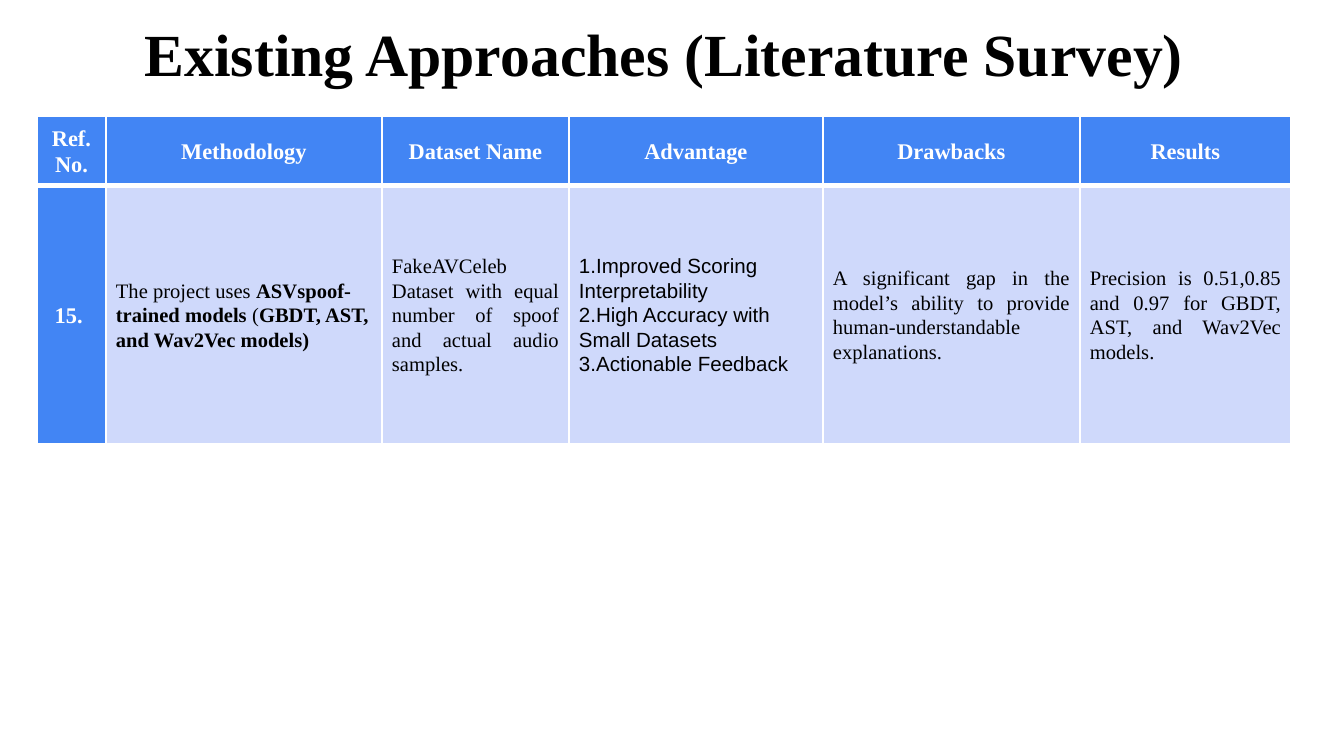
from lxml.etree import SubElement
from pptx import Presentation
from pptx.dml.color import RGBColor
from pptx.enum.text import MSO_ANCHOR as ANCHOR, PP_ALIGN as ALIGN
from pptx.oxml.ns import qn
from pptx.util import Pt

PX = 914400 / 134.4
COLORS = {"blue": "4285F4", "pale": "CFD9FB", "white": "FFFFFF", "black": "000000"}
SERIF, SANS = "Times New Roman", "Arial"

COLUMNS = [69, 276, 187, 254, 257, 211]
ROWS = [70, 258]
HEADERS = ["Ref. No.", "Methodology", "Dataset Name", "Advantage", "Drawbacks", "Results"]
# Each cell: alignment, font, paragraphs of (text, bold) runs
SURVEY = [
    (ALIGN.LEFT, SERIF, [[
        ("The project uses ", False), ("ASVspoof-trained models ", True),
        ("(", False), ("GBDT, AST, and Wav2Vec models)", True)]]),
    (ALIGN.JUSTIFY, SERIF, [[
        ("FakeAVCeleb Dataset with equal number of spoof and actual audio samples.", False)]]),
    (ALIGN.LEFT, SANS, [
        [("1.Improved Scoring Interpretability", False)],
        [("2.High Accuracy with Small Datasets", False)],
        [("3.Actionable Feedback", False)]]),
    (ALIGN.JUSTIFY, SERIF, [[
        ("A significant gap in the model’s ability to provide "
         "human-understandable explanations. ", False)]]),
    (ALIGN.JUSTIFY, SERIF, [[
        ("Precision is 0.51,0.85 and 0.97 for GBDT, AST, and Wav2Vec models.", False)]]),
]


def px(n):
    return round(n * PX)


def rgb(name):
    return RGBColor.from_string(COLORS[name])


class SlideBuilder:
    def __init__(self, prs):
        self.s = prs.slides.add_slide(prs.slide_layouts[6])

    def text(self, tf, paragraphs, size, color, align, font=SERIF, spacing=1.07):
        tf.word_wrap = True
        for i, runs in enumerate(paragraphs):
            p = tf.add_paragraph() if i else tf.paragraphs[0]
            p.alignment, p.line_spacing = align, spacing
            for words, bold in runs:
                r = p.add_run()
                r.text = words
                r.font.name, r.font.size, r.font.bold = font, Pt(size), bold
                r.font.color.rgb = rgb(color)

    def title(self, words, x, y, w, h):
        tf = self.s.shapes.add_textbox(px(x), px(y), px(w), px(h)).text_frame
        tf.margin_left = tf.margin_right = tf.margin_top = tf.margin_bottom = px(13)
        tf.vertical_anchor = ANCHOR.MIDDLE
        self.text(tf, [[(words, True)]], 32, "black", ALIGN.CENTER, spacing=0.9)

    def table(self, x, y, columns, rows):
        frame = self.s.shapes.add_table(len(rows), len(columns), px(x), px(y),
                                        px(sum(columns)), px(sum(rows)))
        for column, w in zip(frame.table.columns, columns):
            column.width = px(w)
        for row, h in zip(frame.table.rows, rows):
            row.height = px(h)
        return frame.table

    def cell(self, cell, paragraphs, fill, size, color, align, font=SERIF, top=1, bottom=1):
        cell.margin_left = cell.margin_right = px(10)
        cell.margin_top = cell.margin_bottom = 0
        cell.vertical_anchor = ANCHOR.MIDDLE
        self.text(cell.text_frame, paragraphs, size, color, align, font)
        self.borders(cell, {"L": 1, "R": 1, "T": top, "B": bottom})
        cell.fill.solid()
        cell.fill.fore_color.rgb = rgb(fill)

    def label(self, cell, words, **edges):
        """Fill a blue heading cell."""
        self.cell(cell, [[(words, True)]], "blue", 12, "white", ALIGN.CENTER, **edges)

    def borders(self, cell, widths):
        pr = cell._tc.get_or_add_tcPr()
        for side, width in widths.items():
            ln = SubElement(pr, qn(f"a:ln{side}"), w=str(Pt(width)))
            SubElement(SubElement(ln, qn("a:solidFill")), qn("a:srgbClr"), val=COLORS["white"])


def main():
    prs = Presentation()
    prs.slide_width, prs.slide_height = px(1344), px(756)
    b = SlideBuilder(prs)
    b.title("Existing Approaches (Literature Survey) ", 0, -1, 1344, 117)

    table = b.table(37, 116, COLUMNS, ROWS)
    for c, words in enumerate(HEADERS):
        b.label(table.cell(0, c), words, bottom=3)
    b.label(table.cell(1, 0), "15. ", top=3)
    for c, (align, font, paragraphs) in enumerate(SURVEY, 1):
        b.cell(table.cell(1, c), paragraphs, "pale", 11, "black", align, font, top=3)

    prs.save("out.pptx")


if __name__ == "__main__":
    main()
